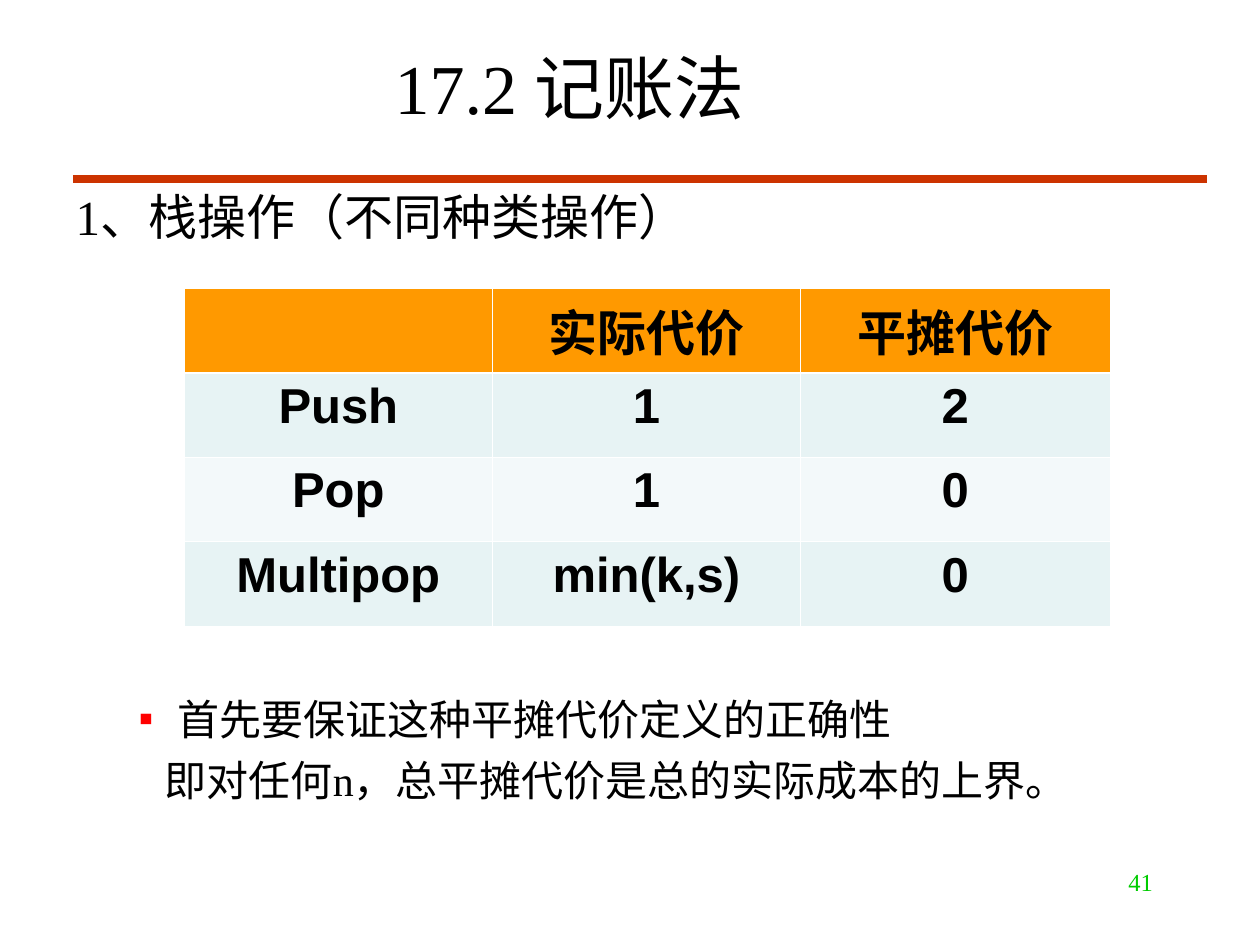
from lxml.etree import SubElement
from pptx import Presentation
from pptx.dml.color import RGBColor
from pptx.enum.shapes import MSO_CONNECTOR
from pptx.enum.text import MSO_ANCHOR, MSO_AUTO_SIZE, PP_ALIGN
from pptx.oxml.ns import qn
from pptx.util import Cm, Pt

BLACK = RGBColor(0x00, 0x00, 0x00)
WHITE = RGBColor(0xFF, 0xFF, 0xFF)
RED = RGBColor(0xFF, 0x00, 0x00)
GREEN = RGBColor(0x00, 0xCC, 0x00)
RULE_RED = RGBColor(0xCC, 0x33, 0x00)
ORANGE = RGBColor(0xFF, 0x99, 0x00)
BAND_DARK = RGBColor(0xE7, 0xF3, 0xF4)
BAND_LIGHT = RGBColor(0xF3, 0xF9, 0xFA)
SERIF = "Times New Roman"
SANS = "Arial"
COSTS = [
    ["", "实际代价", "平摊代价"],
    ["Push", "1", "2"],
    ["Pop", "1", "0"],
    ["Multipop", "min(k,s)", "0"],
]


def format_paragraph(paragraph, size, name=SERIF, color=BLACK, bold=False, align=PP_ALIGN.LEFT):
    paragraph.alignment = align
    for font in [paragraph.font] + [span.font for span in paragraph.runs]:
        font.size = Pt(size)
        font.name = name
        font.bold = bold
        font.color.rgb = color


def place(shape, left, top, width, height):
    shape.left, shape.top = Cm(left), Cm(top)
    shape.width, shape.height = Cm(width), Cm(height)


def set_bullet(paragraph, margin, indent, bullet=None):
    properties = paragraph._p.get_or_add_pPr()
    properties.set("marL", str(Cm(margin)))
    properties.set("indent", str(Cm(indent)))
    if bullet is None:
        SubElement(properties, qn("a:buNone"))
        return
    color = SubElement(properties, qn("a:buClr"))
    SubElement(color, qn("a:srgbClr"), val=str(RED))
    SubElement(properties, qn("a:buFont"), typeface=SANS)
    SubElement(properties, qn("a:buChar"), char=bullet)


def add_title(slide, text):
    title = slide.shapes.title
    place(title, 1.27, 0.76, 20.42, 1.96)
    title.text_frame.text = text
    title.text_frame.auto_size = MSO_AUTO_SIZE.NONE
    title.text_frame.vertical_anchor = MSO_ANCHOR.MIDDLE
    format_paragraph(title.text_frame.paragraphs[0], 40, align=PP_ALIGN.CENTER)


def add_rule(slide):
    rule = slide.shapes.add_connector(
        MSO_CONNECTOR.STRAIGHT, Cm(1.47), Cm(3.61), Cm(24.33), Cm(3.61)
    )
    rule.line.color.rgb = RULE_RED
    rule.line.width = Pt(4.5)
    SubElement(rule._element.spPr, qn("a:effectLst"))


def add_body(slide):
    body = slide.placeholders[1]
    place(body, 1.27, 3.63, 22.83, 14.88)
    frame = body.text_frame
    frame.auto_size = MSO_AUTO_SIZE.NONE
    lines = [
        ("1、栈操作（不同种类操作）", 0, 28, 0, 0.97, -0.97, None),
        ("首先要保证这种平摊代价定义的正确性", 1, 24, 256, 2.06, -0.79, "▪"),
        ("即对任何n，总平摊代价是总的实际成本的上界。", 1, 24, 6, 1.8, 0, None),
    ]
    frame.text = "\n".join(line[0] for line in lines)
    for paragraph, line in zip(frame.paragraphs, lines):
        _, level, size, space, margin, indent, bullet = line
        paragraph.level = level
        paragraph.space_before = Pt(space)
        set_bullet(paragraph, margin, indent, bullet)
        format_paragraph(paragraph, size)


def set_borders(cell, top, bottom):
    properties = cell._tc.get_or_add_tcPr()
    for side, width in (("L", 0.45), ("R", 0.45), ("T", top), ("B", bottom)):
        border = SubElement(properties, qn(f"a:ln{side}"), w=str(Pt(width)))
        fill = SubElement(border, qn("a:solidFill"))
        SubElement(fill, qn("a:srgbClr"), val=str(WHITE))


def add_cost_table(slide):
    frame = slide.shapes.add_table(
        len(COSTS), len(COSTS[0]), Cm(3.71), Cm(5.82), Cm(18.67), Cm(6.8)
    )
    table = frame.table
    for column, width in zip(table.columns, (6.22, 6.2, 6.25)):
        column.width = Cm(width)
    fills = [ORANGE, BAND_DARK, BAND_LIGHT, BAND_DARK]
    for row_index, values in enumerate(COSTS):
        table.rows[row_index].height = Cm(1.7)
        for column_index, value in enumerate(values):
            cell = table.cell(row_index, column_index)
            set_borders(
                cell,
                1.47 if row_index == 1 else 0.45,
                1.47 if row_index == 0 else 0.45,
            )
            cell.fill.solid()
            cell.fill.fore_color.rgb = fills[row_index]
            cell.text_frame.text = value
            format_paragraph(
                cell.text_frame.paragraphs[0], 28, SANS, bold=True, align=PP_ALIGN.CENTER
            )


def add_page_number(slide, text):
    box = slide.shapes.add_textbox(Cm(18.21), Cm(17.35), Cm(5.28), Cm(1.27))
    box.text_frame.word_wrap = True
    box.text_frame.text = text
    format_paragraph(box.text_frame.paragraphs[0], 14, color=GREEN, align=PP_ALIGN.RIGHT)


def main():
    deck = Presentation()
    deck.slide_width, deck.slide_height = Cm(25.4), Cm(19.05)
    slide = deck.slides.add_slide(deck.slide_layouts[1])
    add_rule(slide)
    add_title(slide, "17.2 记账法")
    add_body(slide)
    add_page_number(slide, "41")
    add_cost_table(slide)
    deck.save("out.pptx")


if __name__ == "__main__":
    main()
